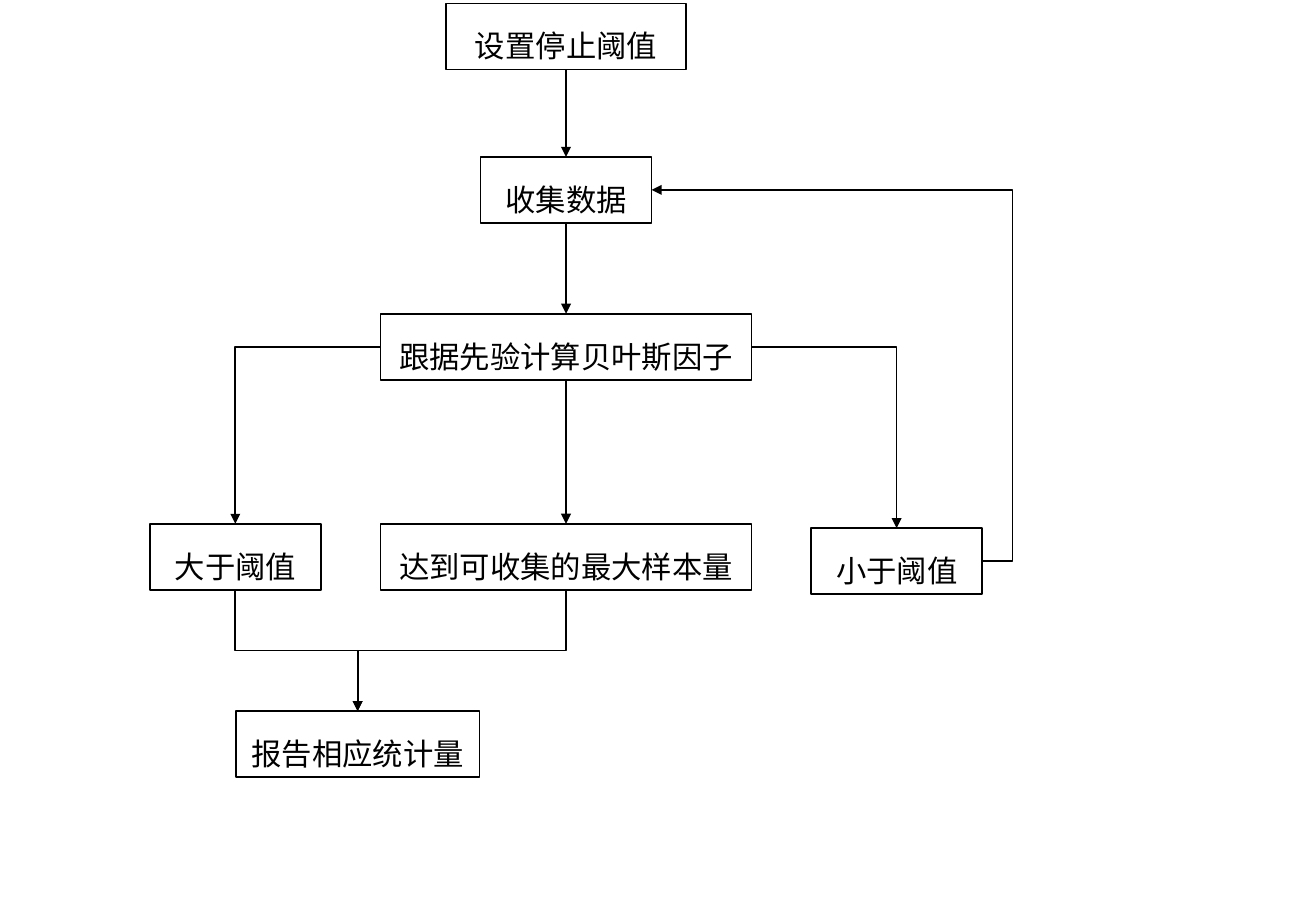
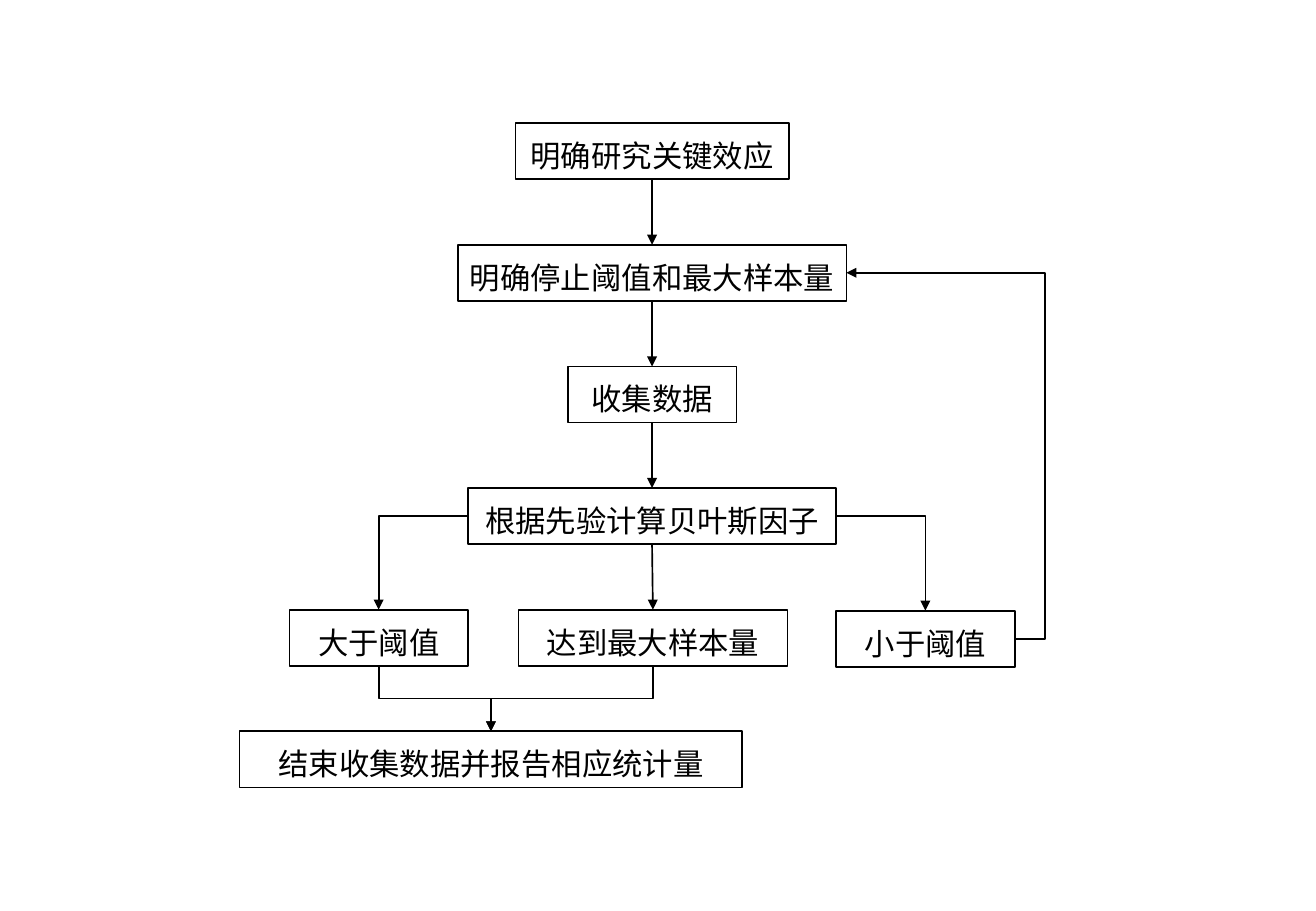
from pptx import Presentation
from pptx.dml.color import RGBColor
from pptx.enum.shapes import MSO_CONNECTOR, MSO_SHAPE
from pptx.enum.text import MSO_ANCHOR, PP_ALIGN
from pptx.oxml.ns import qn
from pptx.util import Pt
from lxml.etree import SubElement

FONT, INK = "Noto Sans CJK SC", "000000"
TOP, LEFT, BOTTOM, RIGHT = range(4)  # connection sites of a rectangle
LOOP = Pt(18)  # how far the return arrow swings out


def paint(part, color):
    part.rgb = RGBColor.from_string(color)


def node(slide, mid, top, width, height, inset, text):
    """Outlined box centred on mid, with one line of text."""
    box = slide.shapes.add_shape(
        MSO_SHAPE.RECTANGLE, Pt(mid - width / 2), Pt(top), Pt(width), Pt(height))
    box.shadow.inherit = False
    box.fill.background()
    paint(box.line.color, INK)
    box.line.width = Pt(1)
    frame = box.text_frame
    frame.word_wrap = True
    frame.vertical_anchor = MSO_ANCHOR.MIDDLE
    side, above, below = inset
    frame.margin_left = frame.margin_right = Pt(side)
    frame.margin_top, frame.margin_bottom = Pt(above), Pt(below)
    frame.text = text
    para = frame.paragraphs[0]
    para.alignment = PP_ALIGN.CENTER
    para.line_spacing = 1.5
    run = para.runs[0]
    run.font.size = Pt(18)
    run.font.name = FONT
    paint(run.font.color, INK)
    SubElement(run.font._element, qn("a:ea")).set("typeface", FONT)
    return box


def arrow(slide, start, out, end, into, kind=MSO_CONNECTOR.ELBOW):
    """Arrow glued to a site of each of two boxes."""
    line = slide.shapes.add_connector(kind, 0, 0, 0, 0)
    line.begin_connect(start, out)
    line.end_connect(end, into)
    paint(line.line.color, INK)
    line.line.width = Pt(1)
    SubElement(line.line._get_or_add_ln(), qn("a:tailEnd")).set("type", "triangle")
    SubElement(line._element.spPr, qn("a:effectLst"))
    return line


def drop(slide, start, end):
    arrow(slide, start, BOTTOM, end, TOP, MSO_CONNECTOR.STRAIGHT)


def branch(slide, start, out, end):
    """Sideways, then down."""
    line = arrow(slide, start, out, end, TOP)
    line._element.spPr.find(qn("a:prstGeom")).set("prst", "bentConnector2")


def merge(slide, start, end):
    """Down, across, then down: an elbow turned by a quarter."""
    line = arrow(slide, start, BOTTOM, end, TOP)
    wide, high = line.width, line.height
    x, y = line.left + (wide - high) // 2, line.top + (high - wide) // 2
    toward_right = line.end_x > line.begin_x
    line.left, line.top, line.width, line.height = x, y, high, wide
    form = line._element.spPr.find(qn("a:xfrm"))
    form.set("flipH", "1" if toward_right else "0")
    form.set("rot", str((270 if toward_right else 90) * 60000))


def loop(slide, start, end):
    """Out to the right, up, and back to an earlier step."""
    line = arrow(slide, start, RIGHT, end, RIGHT)
    shape = line._element.spPr.find(qn("a:prstGeom"))
    guides = shape.find(qn("a:avLst"))
    if guides is None:
        guides = SubElement(shape, qn("a:avLst"))
    guide = SubElement(guides, qn("a:gd"))
    guide.set("name", "adj1")
    guide.set("fmla", f"val {round(-LOOP / line.width * 100000)}")


def flow(deck, mid, top, height, inset, steps, over, limit, under, report):
    """Flow chart; each box is (dx, dy, width, text) from the spine's top."""
    slide = deck.slides.add_slide(deck.slide_layouts[6])

    def put(spot):
        dx, dy, width, text = spot
        return node(slide, mid + dx, top + dy, width, height, inset, text)

    # Boxes
    spine = [put(step) for step in steps]
    over, limit, under, report = map(put, (over, limit, under, report))
    # Arrows
    chain = spine + [limit]
    for start, end in zip(chain, chain[1:]):
        drop(slide, start, end)
    branch(slide, spine[-1], LEFT, over)
    branch(slide, spine[-1], RIGHT, under)
    for part in (over, limit):
        merge(slide, part, report)
    loop(slide, under, spine[1])


deck = Presentation()
deck.slide_width, deck.slide_height = Pt(780), Pt(540)

flow(deck, 335.5, 2, 39.2, (8.6, 5.8, 5.8),
     steps=[(0, 0, 142, "设置停止阈值"),
            (0, 91, 101.5, "收集数据"),
            (0, 184, 220, "跟据先验计算贝叶斯因子")],
     over=(-196, 308.5, 101.5, "大于阈值"),
     limit=(0, 308.5, 220, "达到可收集的最大样本量"),
     under=(196, 311, 101.5, "小于阈值"),
     report=(-123.5, 419.5, 144.5, "报告相应统计量"))

STEP = 72.1
flow(deck, 386.5, 73, 33.3, (2.9, 0, 5.8),
     steps=[(0, i * STEP, width, text) for i, (width, text) in enumerate([
         (162, "明确研究关键效应"),
         (230.4, "明确停止阈值和最大样本量"),
         (100, "收集数据"),
         (218.2, "根据先验计算贝叶斯因子")])],
     over=(-162, 4 * STEP, 106, "大于阈值"),
     limit=(0.5, 4 * STEP, 159.5, "达到最大样本量"),
     under=(162, 4 * STEP + 0.6, 106, "小于阈值"),
     report=(-95.5, 5 * STEP, 298, "结束收集数据并报告相应统计量"))

deck.save("out.pptx")
